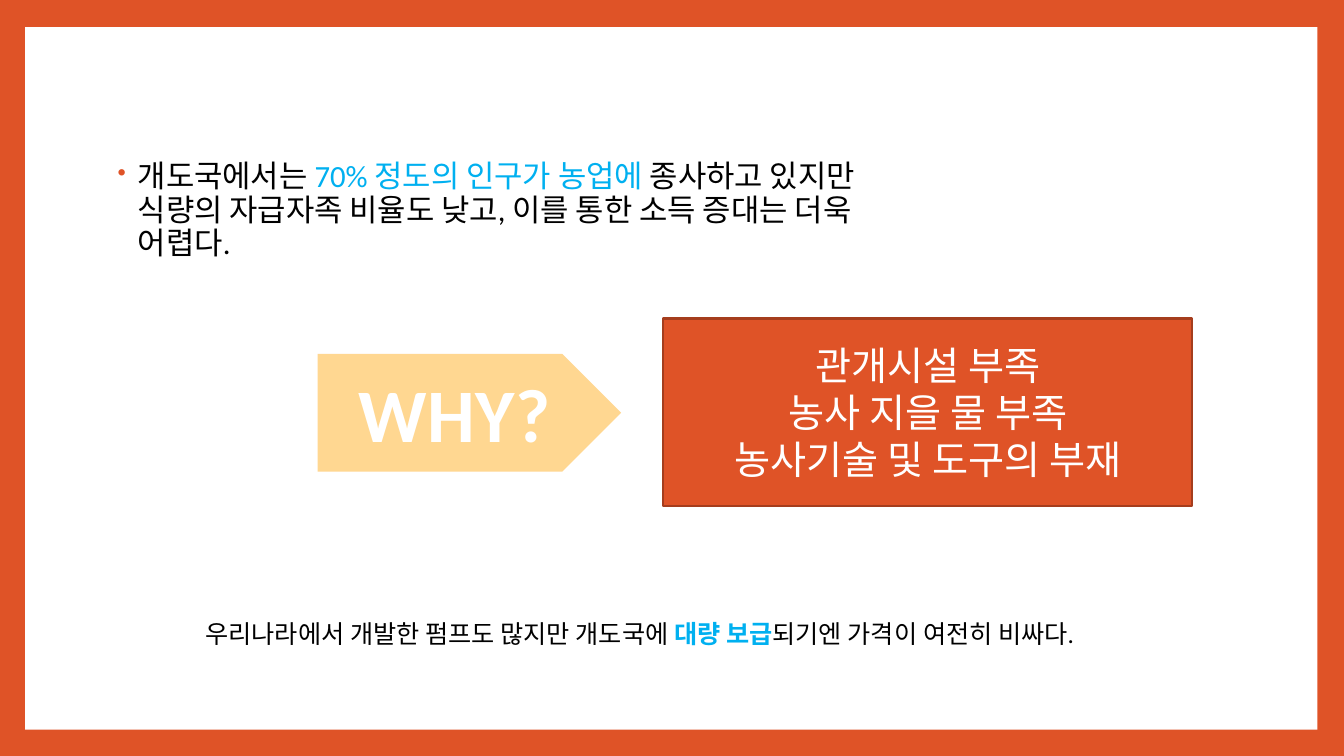
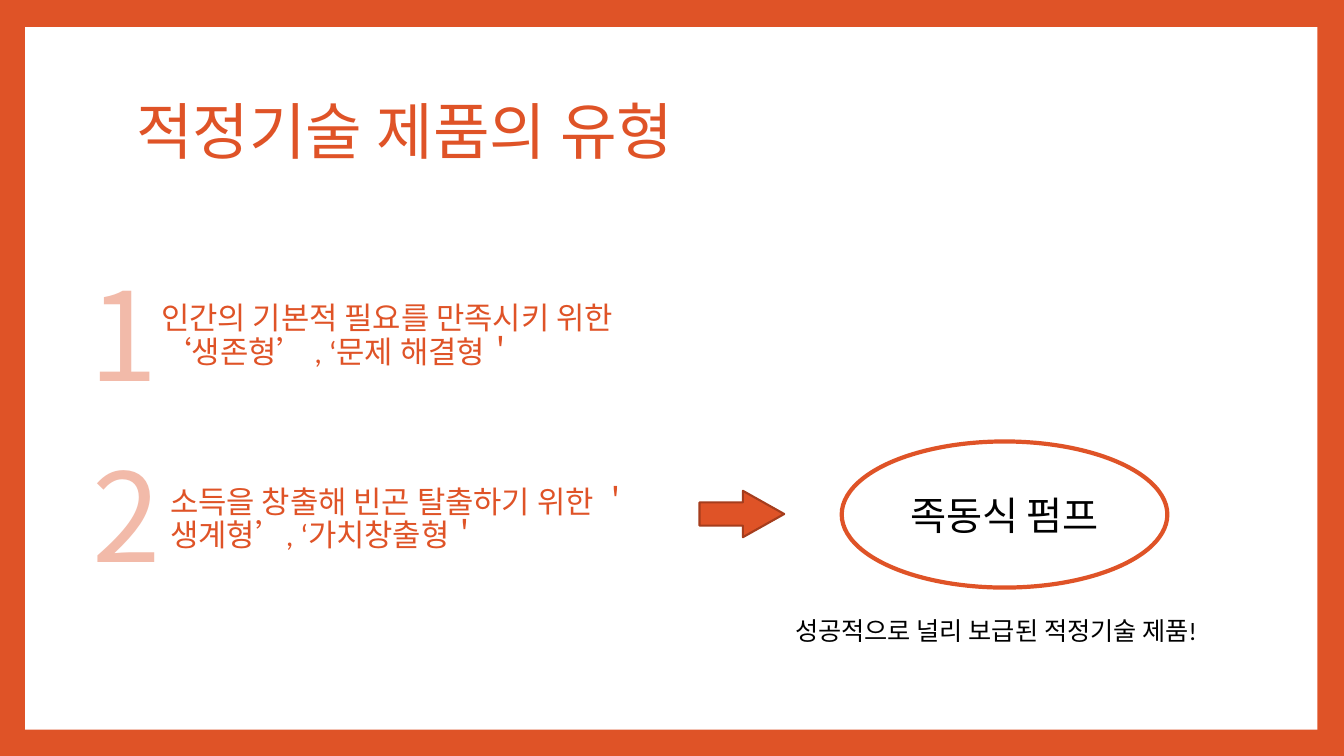
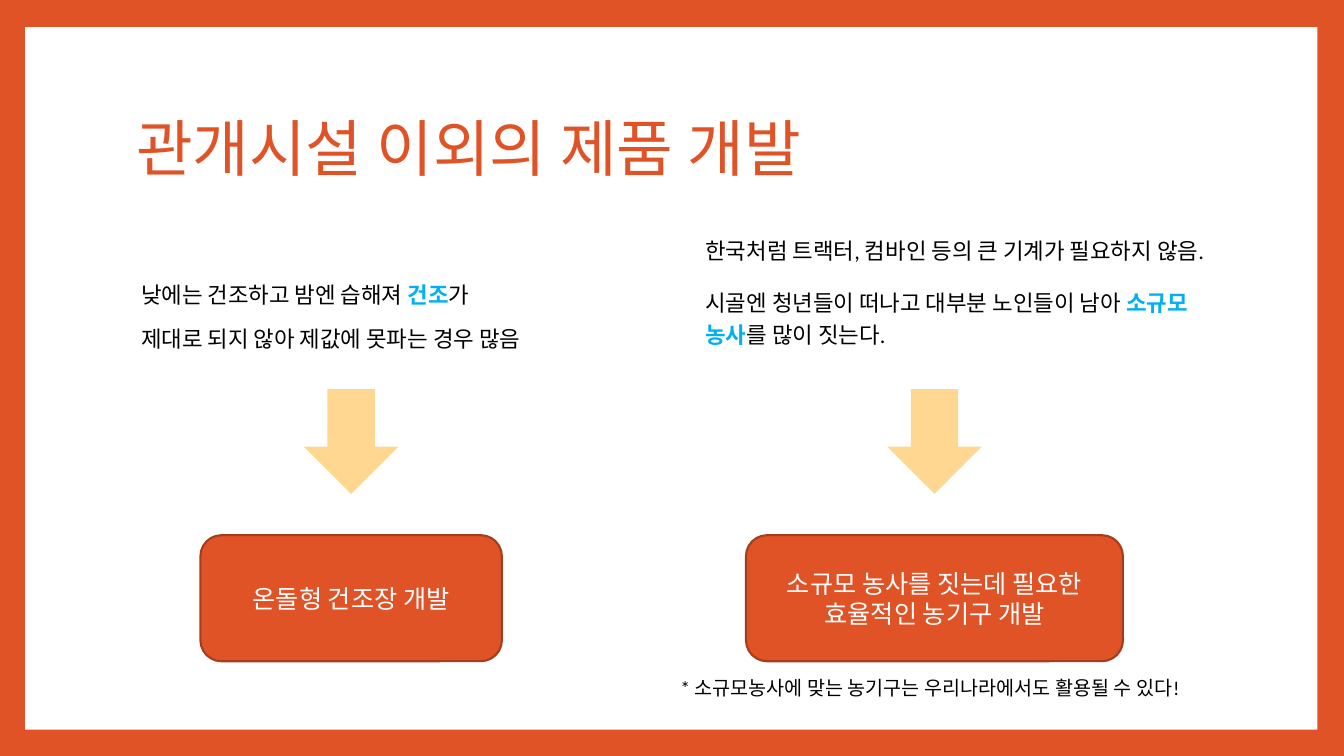
from lxml import etree
from pptx import Presentation
from pptx.dml.color import RGBColor
from pptx.enum.shapes import MSO_SHAPE
from pptx.enum.text import MSO_ANCHOR, MSO_AUTO_SIZE, PP_ALIGN
from pptx.oxml.ns import qn
from pptx.util import Inches, Pt

RECT, ROUND, OVAL = MSO_SHAPE.RECTANGLE, MSO_SHAPE.ROUNDED_RECTANGLE, MSO_SHAPE.OVAL
TAG, RIGHT, DOWN = MSO_SHAPE.PENTAGON, MSO_SHAPE.RIGHT_ARROW, MSO_SHAPE.DOWN_ARROW
MIDDLE, TOP = MSO_ANCHOR.MIDDLE, MSO_ANCHOR.TOP
CENTER, LEFT = PP_ALIGN.CENTER, PP_ALIGN.LEFT
GROW = MSO_AUTO_SIZE.SHAPE_TO_FIT_TEXT

WIDE, HIGH = Inches(13.333), Inches(7.5)
ORANGE, RUST, SAND, PINK = "DF5327", "A53D1D", "FFD791", "F2BAA9"
WHITE, BLACK, BLUE = "FFFFFF", "000000", "00B0F0"
FONT, DIGIT = "Calibri", "Noto Sans CJK KR"


def color(code):
    return RGBColor.from_string(code)


def place(x, y, w, h):
    """Turn percent shares of the slide into lengths."""
    return [round(part * side / 100)
            for part, side in zip((x, y, w, h), (WIDE, HIGH, WIDE, HIGH))]


def paint(fill, code):
    fill.solid()
    fill.fore_color.rgb = color(code)


# Text: a paragraph is a list of runs, a run is a string or (string, bold) in blue
def write(frame, paras, size, ink=BLACK, font=FONT, align=LEFT, bold=False,
          lines=None, before=None, indent=(0, 0), dot=False):
    for i, runs in enumerate(paras):
        para = frame.paragraphs[0] if i == 0 else frame.add_paragraph()
        para.alignment = align
        if lines:
            para.line_spacing = lines
        if before:
            para.space_before = Pt(before)
        props = para._p.get_or_add_pPr()
        props.set("marL", str(Inches(indent[0])))
        props.set("indent", str(Inches(indent[1])))
        if dot:
            add_dot(props)
        for item in runs:
            text, strong = (item, bold) if isinstance(item, str) else item
            run = para.add_run()
            run.text = text
            run.font.name, run.font.size, run.font.bold = font, Pt(size), strong
            run.font.color.rgb = color(ink if isinstance(item, str) else BLUE)


def add_dot(props):
    tint = etree.SubElement(props, qn("a:buClr"))
    etree.SubElement(tint, qn("a:srgbClr")).set("val", ORANGE)
    etree.SubElement(props, qn("a:buSzPct")).set("val", "80000")
    etree.SubElement(props, qn("a:buChar")).set("char", "•")


def block(slide, area, paras, size, anchor=TOP, **style):
    frame = slide.shapes.add_textbox(*place(*area)).text_frame
    frame.word_wrap = True
    frame.vertical_anchor = anchor
    write(frame, paras, size, **style)


def label(slide, area, runs, size, **style):
    frame = slide.shapes.add_textbox(*place(*area)).text_frame
    frame.word_wrap = False
    frame.auto_size = GROW
    write(frame, [runs], size, **style)


def body(slide, area, paras, size, lines=0.9, indent=(0.05, 0), **style):
    block(slide, area, paras, size, lines=lines, before=14, indent=indent, **style)


def title(slide, y, text):
    block(slide, (9.38, y, 81, 19.73), [[text]], 44, MIDDLE, ink=ORANGE, lines=0.9)


# Shapes
def figure(slide, kind, area, fill=None, line=None, width=1.5,
           paras=(), size=18, ink=WHITE, bold=False):
    shape = slide.shapes.add_shape(kind, *place(*area))
    shape.shadow.inherit = False
    if fill:
        paint(shape.fill, fill)
    else:
        shape.fill.background()
    if line:
        shape.line.color.rgb = color(line)
        shape.line.width = Pt(width)
    else:
        shape.line.fill.background()
    shape.text_frame.vertical_anchor = MIDDLE
    write(shape.text_frame, paras, size, ink, align=CENTER, bold=bold)
    return shape


def page(deck):
    """Blank slide with the orange frame around a white panel."""
    slide = deck.slides.add_slide(deck.slide_layouts[6])
    paint(slide.background.fill, ORANGE)
    figure(slide, RECT, (1.88, 3.6, 96.15, 92.93), WHITE)
    return slide


# Slides
def causes(deck):
    slide = page(deck)
    body(slide, (7.65, 20.67, 61.43, 19.2),
         [["개도국에서는 ", ("70% 정도의 인구가 농업에 ", False),
           "종사하고 있지만 식량의 자급자족 비율도 낮고, "
           "이를 통한 소득 증대는 더욱 어렵다."]],
         22, indent=(0.25, -0.2), dot=True)
    figure(slide, RECT, (49.35, 42.13, 39.38, 24.8), ORANGE, RUST,
           paras=[["관개시설 부족"], ["농사 지을 물 부족"], ["농사기술 및 도구의 부재"]],
           size=28)
    figure(slide, TAG, (23.63, 46.8, 22.58, 15.6), SAND,
           paras=[["WHY?"]], size=54, bold=True)
    label(slide, (14.55, 81.07, 71.18, 5.33),
          ["우리나라에서 개발한 펌프도 많지만 개도국에 ", ("대량 보급", True),
           "되기엔 가격이 여전히 비싸다."], 18)


def types(deck):
    slide = page(deck)
    title(slide, 7.87, "적정기술 제품의 유형")
    kinds = [
        ("1", 5.93, 33.47, 10.88, 39.47,
         "인간의 기본적 필요를 만족시키 위한 ‘생존형’ , ‘문제 해결형＇"),
        ("2", 6.15, 57.47, 11.55, 63.73,
         "소득을 창출해 빈곤 탈출하기 위한 ＇생계형’, ‘가치창출형＇"),
    ]
    for digit, left, top, x, y, text in kinds:
        body(slide, (x, y, 39, 11.47), [[text]], 22, ink=ORANGE)
        label(slide, (left, top, 6.83, 21.07), [digit], 88, ink=PINK, font=DIGIT)
    arrow = figure(slide, RIGHT, (52.05, 64.93, 6.3, 6.13), ORANGE, RUST)
    arrow.adjustments[1] = 0.89
    figure(slide, OVAL, (62.63, 58.4, 24.23, 19.33), line=ORANGE, width=3,
           paras=[["족동식 펌프"]], size=28, ink=BLACK)
    label(slide, (58.43, 80.8, 33.83, 5.33), ["성공적으로 널리 보급된 적정기술 제품!"], 18)


def goods(deck):
    slide = page(deck)
    title(slide, 10.13, "관개시설 이외의 제품 개발")
    body(slide, (9.38, 36.93, 39, 13.07),
         [["낮에는 건조하고 밤엔 습해져 ", ("건조", True), "가 "],
          ["제대로 되지 않아 제값에 못파는 경우 많음"]], 16)
    body(slide, (51.38, 30, 39, 15.6),
         [["한국처럼 트랙터, 컴바인 등의 큰 기계가 필요하지 않음. "],
          ["시골엔 청년들이 떠나고 대부분 노인들이 남아 ", ("소규모 농사", True),
           "를 많이 짓는다."]], 16, lines=1.2)
    # Each arrow and its result share one centre line
    results = [
        (26.13, 22.43, [["온돌형 건조장 개발"]]),
        (69.53, 28.05, [["소규모 농사를 짓는데 필요한"], ["효율적인 농기구 개발"]]),
    ]
    for mid, wide, paras in results:
        figure(slide, DOWN, (mid - 7.05 / 2, 51.47, 7.05, 13.87), SAND)
        figure(slide, ROUND, (mid - wide / 2, 70.8, wide, 16.67), ORANGE, RUST,
               paras=paras)
    label(slide, (49.88, 88.8, 41.25, 4.53),
          ["* 소규모농사에 맞는 농기구는 우리나라에서도 활용될 수 있다!"], 14)


def main():
    deck = Presentation()
    deck.slide_width, deck.slide_height = WIDE, HIGH
    for build in (causes, types, goods):
        build(deck)
    deck.save("out.pptx")


main()
